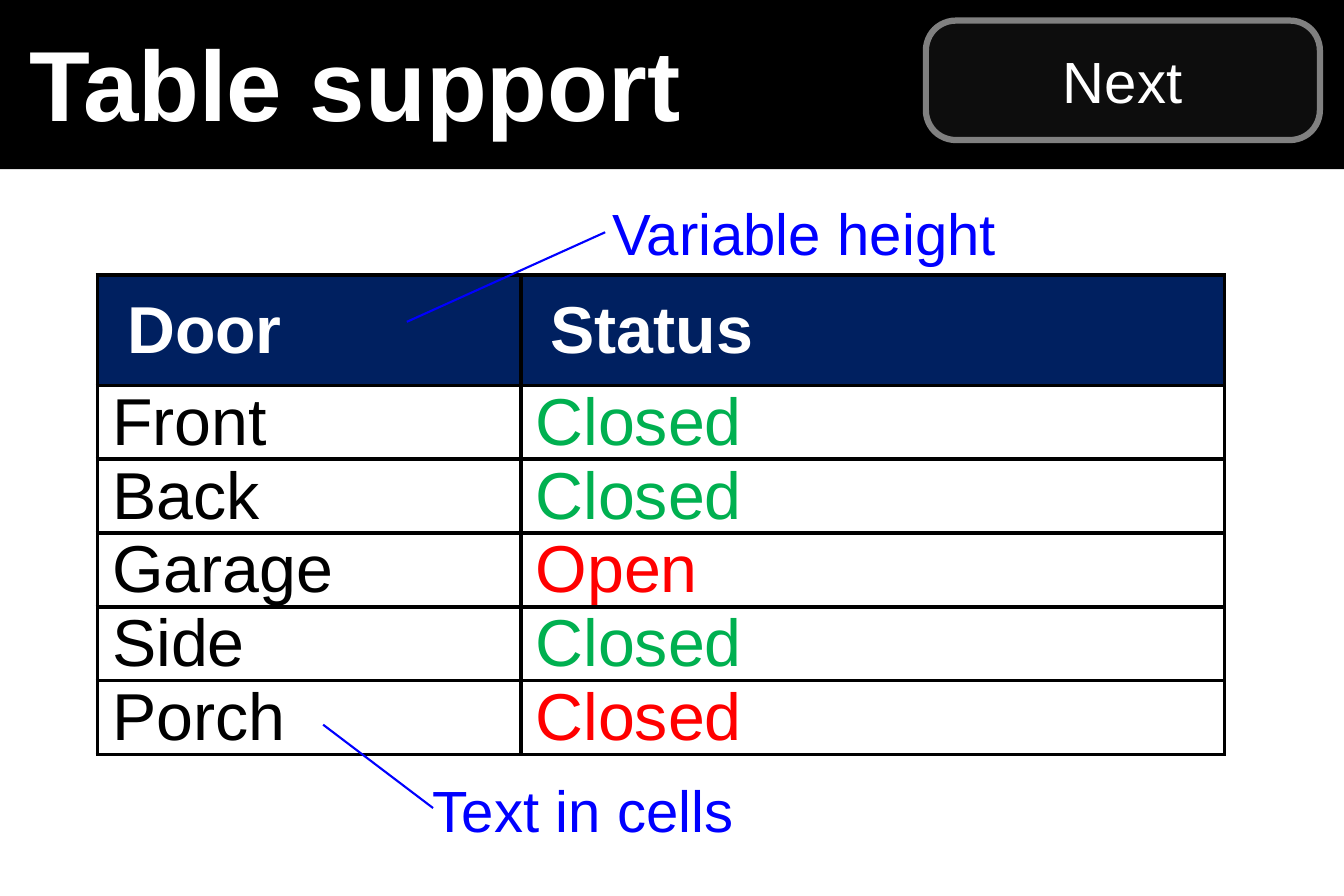
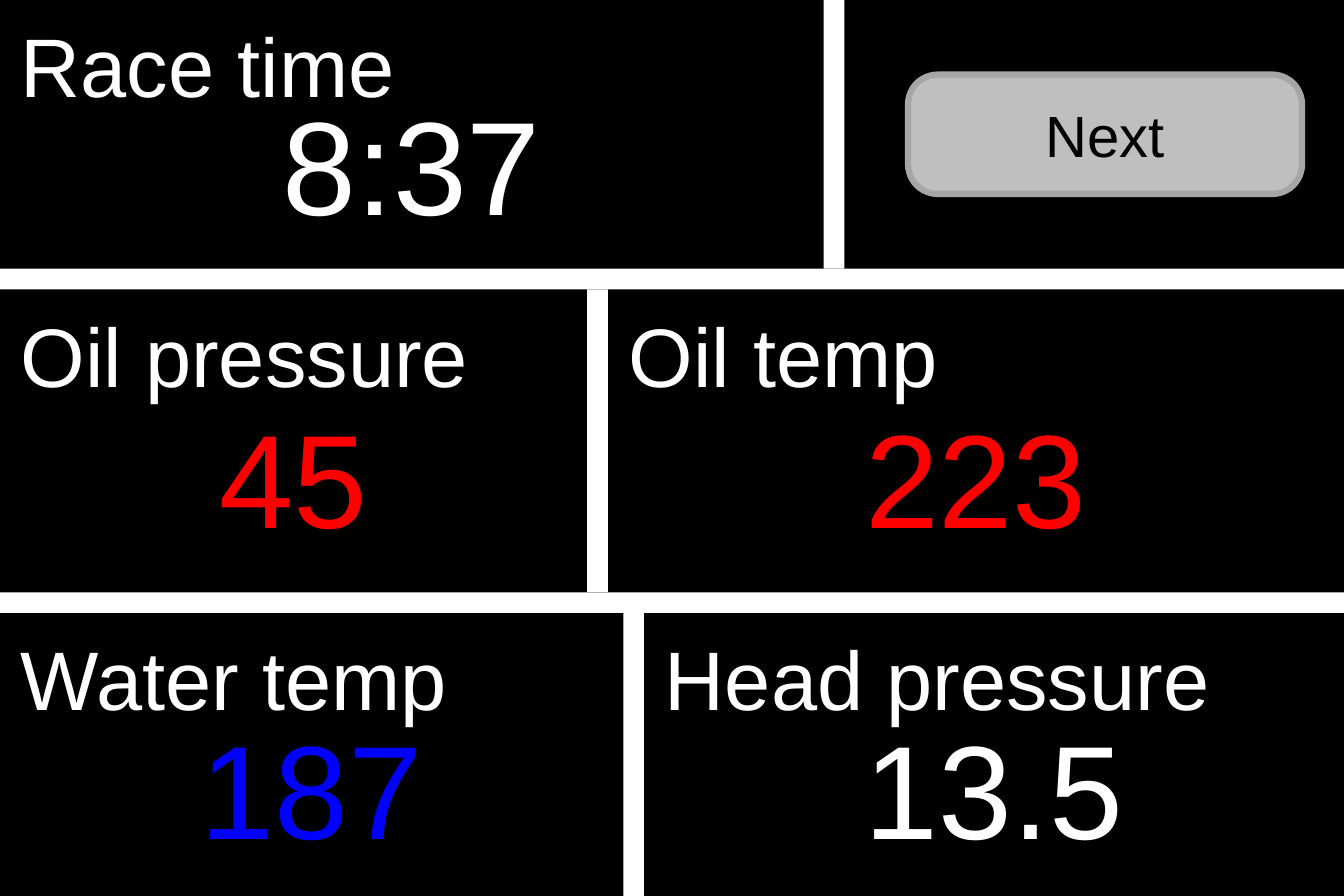
from lxml import etree
from pptx import Presentation
from pptx import util as u
from pptx.dml.color import RGBColor
from pptx.enum import shapes, text
from pptx.oxml.ns import qn

WIDTH, HEIGHT = 324, 216
FONT = "Arial"
BUTTON_SIZE = (95, 28.8)
GAP = 5
COLORS = {
    "black": "000000", "white": "FFFFFF", "navy": "002060", "blue": "0000FF",
    "green": "00B050", "red": "FF0000", "ink": "0D0D0D", "grey": "808080",
    "silver": "BFBFBF", "pewter": "A6A6A6",
}


def rgb(name):
    return RGBColor.from_string(COLORS[name])


def points(*lengths):
    return [u.Pt(length) for length in lengths]


def write(frame, content, size=14, color="white", bold=False, align="LEFT"):
    para = frame.paragraphs[0]
    para.alignment = getattr(text.PP_ALIGN, align)
    span = para.add_run()
    span.text = content
    span.font.name = FONT
    span.font.size = u.Pt(size)
    span.font.bold = bold
    span.font.color.rgb = rgb(color)


def set_margins(target, left, top, right, bottom):
    """Set the insets of a text frame or a table cell."""
    target.margin_left, target.margin_top, target.margin_right, target.margin_bottom = points(
        left, top, right, bottom)


def add_text(page, box, content, anchor="MIDDLE", wrap=True, **style):
    frame = page.shapes.add_textbox(*points(*box)).text_frame
    set_margins(frame, 0, 0, 0, 0)
    frame.word_wrap = wrap
    frame.vertical_anchor = getattr(text.MSO_ANCHOR, anchor)
    write(frame, content, **style)


def add_block(page, box, fill, kind=shapes.MSO_SHAPE.RECTANGLE):
    block = page.shapes.add_shape(kind, *points(*box))
    block.shadow.inherit = False
    block.fill.solid()
    block.fill.fore_color.rgb = rgb(fill)
    block.line.fill.background()
    return block


def add_button(page, left, top, fill, edge, color):
    button = add_block(page, (left, top, *BUTTON_SIZE), fill, shapes.MSO_SHAPE.ROUNDED_RECTANGLE)
    button.adjustments[0] = 0.25
    button.line.color.rgb = rgb(edge)
    button.line.width = u.Pt(1.5)
    button.text_frame.vertical_anchor = text.MSO_ANCHOR.MIDDLE
    write(button.text_frame, "Next", color=color, align="CENTER")


def add_page(deck, layout, background):
    page = deck.slides.add_slide(deck.slide_layouts.get_by_name(layout))
    page.background.fill.solid()
    page.background.fill.fore_color.rgb = rgb(background)
    return page


def add_title_band(page, content, height):
    add_block(page, (0, 0, WIDTH, height), "black")
    add_button(page, 223.2, 5, "ink", "grey", "white")
    title = page.shapes.title
    title.left, title.top, title.width, title.height = points(0, 8.9, WIDTH, 21.6)
    frame = title.text_frame
    frame.word_wrap = True
    frame.auto_size = text.MSO_AUTO_SIZE.NONE
    frame.vertical_anchor = text.MSO_ANCHOR.MIDDLE
    set_margins(frame, 7.2, 3.6, 7.2, 3.6)
    write(frame, content, size=24, bold=True)
    title.element.getparent().append(title.element)  # in front of the band


def add_borders(cell):
    properties = cell._tc.get_or_add_tcPr()
    for side in ("lnL", "lnR", "lnT", "lnB"):
        line = etree.SubElement(properties, qn(f"a:{side}"), w=str(u.Pt(1)))
        fill = etree.SubElement(line, qn("a:solidFill"))
        etree.SubElement(fill, qn("a:srgbClr"), val=COLORS["black"])


def fill_cell(cell, content, color, header):
    add_borders(cell)
    cell.vertical_anchor = text.MSO_ANCHOR.MIDDLE
    if header:
        set_margins(cell, 7.2, 3.6, 7.2, 3.6)
        cell.fill.solid()
        cell.fill.fore_color.rgb = rgb("navy")
    else:
        set_margins(cell, 3.6, 0, 0, 0)
        cell.fill.background()
    write(cell.text_frame, content, size=16, color=color, bold=header)


def add_door_table(page, left, top):
    doors = [("Front", "Closed", "green"), ("Back", "Closed", "green"), ("Garage", "Open", "red"),
             ("Side", "Closed", "green"), ("Porch", "Closed", "red")]
    rows = [("Door", "Status", "white")] + doors
    widths = (102.1, 169.6)
    heights = [26.6] + [17.3] * len(doors)
    table = page.shapes.add_table(
        len(rows), len(widths), *points(left, top, sum(widths), sum(heights))).table
    table.first_row = table.horz_banding = False
    for column, width in zip(table.columns, widths):
        column.width = u.Pt(width)
    for index, (door, status, color) in enumerate(rows):
        header = index == 0
        table.rows[index].height = u.Pt(heights[index])
        fill_cell(table.cell(index, 0), door, "white" if header else "black", header)
        fill_cell(table.cell(index, 1), status, color, header)


def add_callout(page, box, content, start, end):
    add_text(page, box, content, color="blue")
    leader = page.shapes.add_connector(shapes.MSO_CONNECTOR.STRAIGHT, *points(*start, *end))
    leader.line.color.rgb = rgb("blue")
    leader.line.width = u.Pt(0.5)
    etree.SubElement(leader.element.spPr, qn("a:effectLst"))


def add_gauge(page, box, value_box, label, label_width, value, color):
    """Place a label at the top left of a panel and its reading in the value span."""
    left, top, width = box
    value_top, value_height = value_box
    add_text(page, (left, value_top, width, value_height), value,
             anchor="BOTTOM", wrap=False, size=32, color=color, align="CENTER")
    add_text(page, (left + GAP, top + 3.6, label_width, 18.7), label,
             anchor="TOP", wrap=False, size=20)


def add_gauge_row(page, top, bottom, split, value_box, gauges):
    """Divide a row at the split and fill its panels from the left."""
    add_block(page, (split, top, GAP, bottom - top), "white")
    if bottom < HEIGHT:
        add_block(page, (0, bottom, WIDTH, GAP), "white")
    panels = [(0, top, split), (split + GAP, top, WIDTH - split - GAP)]
    for panel, gauge in zip(panels, gauges):
        add_gauge(page, panel, value_box, *gauge)


def build_table_page(deck):
    page = add_page(deck, "Title Only", "white")
    add_title_band(page, "Table support", 40.8)
    add_door_table(page, 23.5, 66.3)
    add_callout(page, (104.4, 189.7, 86.4, 10.8), "Text in cells", (104.4, 194.8), (77.9, 174.7))
    add_callout(page, (147.6, 50.6, 128.2, 10.8), "Variable height", (145.9, 56), (98.1, 77.6))


def build_dashboard(deck):
    page = add_page(deck, "Blank", "black")
    add_button(page, 218.9, 18, "silver", "pewter", "black")
    rows = [
        (64.8, 198.6, (28.8, 29.5), [("Race time", 95, "8:37", "white")]),
        (142.8, 141.6, (102.2, 31.7), [("Oil pressure", 113.8, "45", "red"),
                                       ("Oil temp", 78.5, "223", "red")]),
        (HEIGHT, 150.3, (177.1, 31.7), [("Water temp", 108.7, "187", "blue"),
                                        ("Head pressure", 138.2, "13.5", "white")]),
    ]
    top = 0
    for bottom, split, value_box, gauges in rows:
        add_gauge_row(page, top, bottom, split, value_box, gauges)
        top = bottom + GAP


def main():
    deck = Presentation()
    deck.slide_width, deck.slide_height = points(WIDTH, HEIGHT)
    build_table_page(deck)
    build_dashboard(deck)
    deck.save("out.pptx")


if __name__ == "__main__":
    main()
